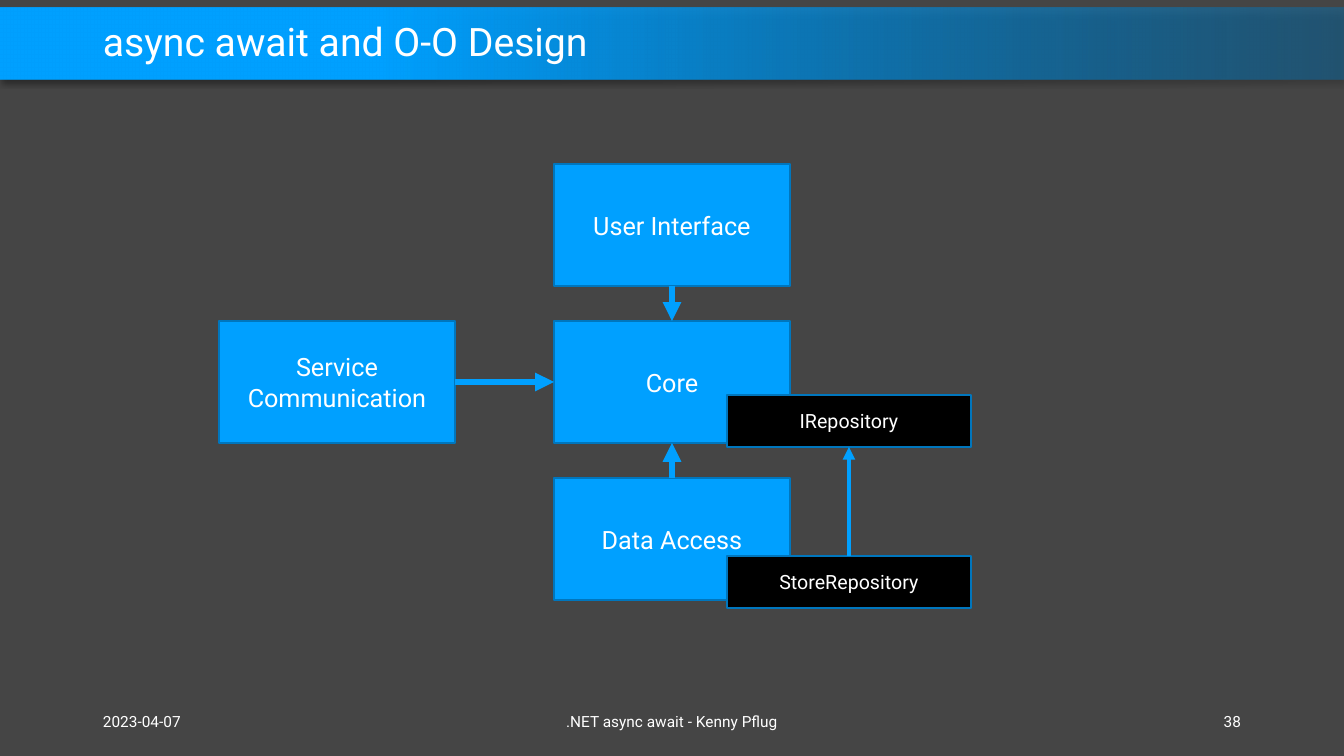
from lxml.etree import SubElement
from pptx import Presentation
from pptx.dml.color import RGBColor
from pptx.enum.shapes import MSO_CONNECTOR as Connector, MSO_SHAPE as Shape
from pptx.enum.text import MSO_ANCHOR as Anchor, PP_ALIGN as Align
from pptx.oxml.ns import qn
from pptx.util import Pt

EMU_PER_PX = 914400 / 100.8
WIDTH, HEIGHT = 1344, 756
GREY = RGBColor(0x45, 0x45, 0x45)
BLUE = RGBColor(0x00, 0xA0, 0xFF)
DEEP_BLUE = RGBColor(0x00, 0x78, 0xBF)
EDGE_BLUE = RGBColor(0x00, 0x76, 0xBD)
BLACK = RGBColor(0x00, 0x00, 0x00)
WHITE = RGBColor(0xFF, 0xFF, 0xFF)
TOP, LEFT, BOTTOM, RIGHT = range(4)


def px(*lengths):
    """Turn pixel lengths into EMU."""
    return [round(length * EMU_PER_PX) for length in lengths]


class Sketch:
    """Draws styled elements on one page."""

    font = "Roboto"

    def __init__(self, page):
        """Keep the page and colour its background."""
        self.page = page
        page.background.fill.solid()
        page.background.fill.fore_color.rgb = GREY

    def set_text(self, shape, text, size, align):
        """Put one formatted paragraph into a shape."""
        frame = shape.text_frame
        frame.word_wrap = True
        frame.vertical_anchor = Anchor.MIDDLE
        frame.text = text
        para = frame.paragraphs[0]
        para.alignment = align
        font = para.runs[0].font
        font.name, font.size, font.color.rgb = self.font, Pt(size), WHITE
        return para

    def label(self, place, text, size, align=Align.LEFT):
        """Add a text box."""
        box = self.page.shapes.add_textbox(*px(*place))
        return self.set_text(box, text, size, align)

    def block(self, place, text, size, colour):
        """Add an outlined rectangle with centred text."""
        box = self.page.shapes.add_shape(Shape.RECTANGLE, *px(*place))
        box.shadow.inherit = False
        box.fill.solid()
        box.fill.fore_color.rgb = colour
        box.line.color.rgb = EDGE_BLUE
        box.line.width = Pt(1)
        self.set_text(box, text, size, Align.CENTER)
        return box

    def arrow(self, start, start_side, end, end_side, width):
        """Join two blocks with an arrow."""
        line = self.page.shapes.add_connector(Connector.STRAIGHT, 0, 0, 0, 0)
        line.begin_connect(start, start_side)
        line.end_connect(end, end_side)
        line.line.color.rgb = BLUE
        line.line.width = Pt(width)
        properties = line.element.spPr
        SubElement(properties.find(qn("a:ln")), qn("a:tailEnd"), type="triangle")
        SubElement(properties, qn("a:effectLst"))

    def banner(self, place):
        """Add the fading title bar with its soft shadow."""
        bar = self.page.shapes.add_shape(Shape.RECTANGLE, *px(*place))
        bar.line.fill.background()
        bar.fill.gradient()
        bar.fill.gradient_angle = 180
        faded, full = bar.fill.gradient_stops
        faded.color.rgb, faded.position = DEEP_BLUE, 0
        full.color.rgb, full.position = BLUE, 0.72
        properties = bar.element.spPr
        SubElement(next(properties.iter(qn("a:srgbClr"))), qn("a:alpha"), val="40000")
        bar.shadow.inherit = False
        shadow = SubElement(properties.find(qn("a:effectLst")), qn("a:outerShdw"),
                            blurRad=str(Pt(4)), dist=str(Pt(3)), dir="5400000",
                            algn="t", rotWithShape="0")
        colour = SubElement(shadow, qn("a:srgbClr"), val=str(BLACK))
        SubElement(colour, qn("a:alpha"), val="40000")


def main():
    """Build the slide and save it."""
    deck = Presentation()
    deck.slide_width, deck.slide_height = px(WIDTH, HEIGHT)
    sketch = Sketch(deck.slides.add_slide(deck.slide_layouts[6]))

    sketch.banner((0, 8, WIDTH, 71))
    title = sketch.label((93, 16, 1109, 55), "async await and O-O Design", 28)
    title.line_spacing = 0.9

    for left, width, text, align in (
        (93, 302, "2023-04-07", Align.LEFT),
        (445, 454, ".NET async await - Kenny Pflug", Align.CENTER),
        (949, 302, "38", Align.RIGHT),
    ):
        sketch.label((left, 701, width, 40), text, 11, align)

    core, interface, access, service = [
        sketch.block((left, 164 + 157 * row, 236, 122), text, 18, BLUE)
        for left, row, text in (
            (554, 1, "Core"),
            (554, 0, "User Interface"),
            (554, 2, "Data Access"),
            (219, 1, "Service Communication"),
        )
    ]
    sketch.arrow(service, RIGHT, core, LEFT, 4.5)
    sketch.arrow(interface, BOTTOM, core, TOP, 4.5)
    sketch.arrow(access, TOP, core, BOTTOM, 4.5)

    contract, repository = [
        sketch.block((727, top, 244, 52), text, 14, BLACK)
        for top, text in ((395, "IRepository"), (556, "StoreRepository"))
    ]
    sketch.arrow(repository, TOP, contract, BOTTOM, 3)

    deck.save("out.pptx")


if __name__ == "__main__":
    main()
